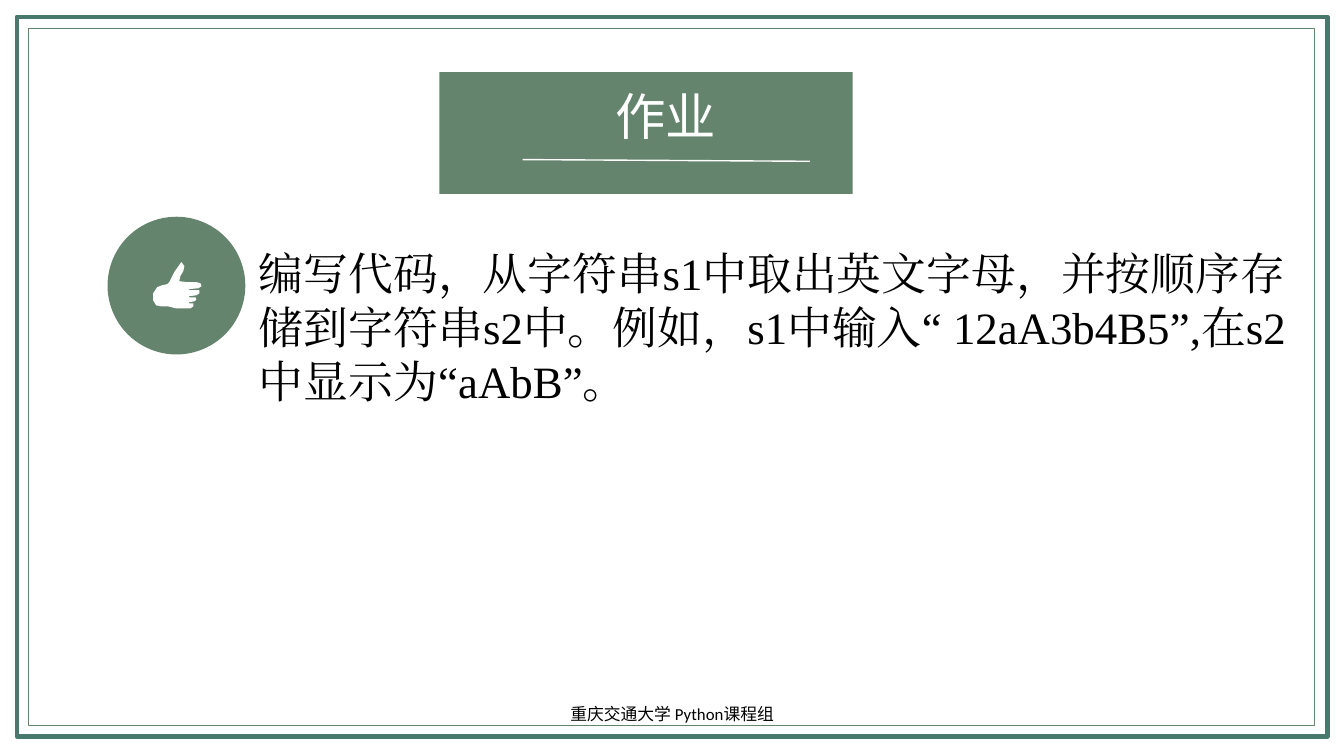
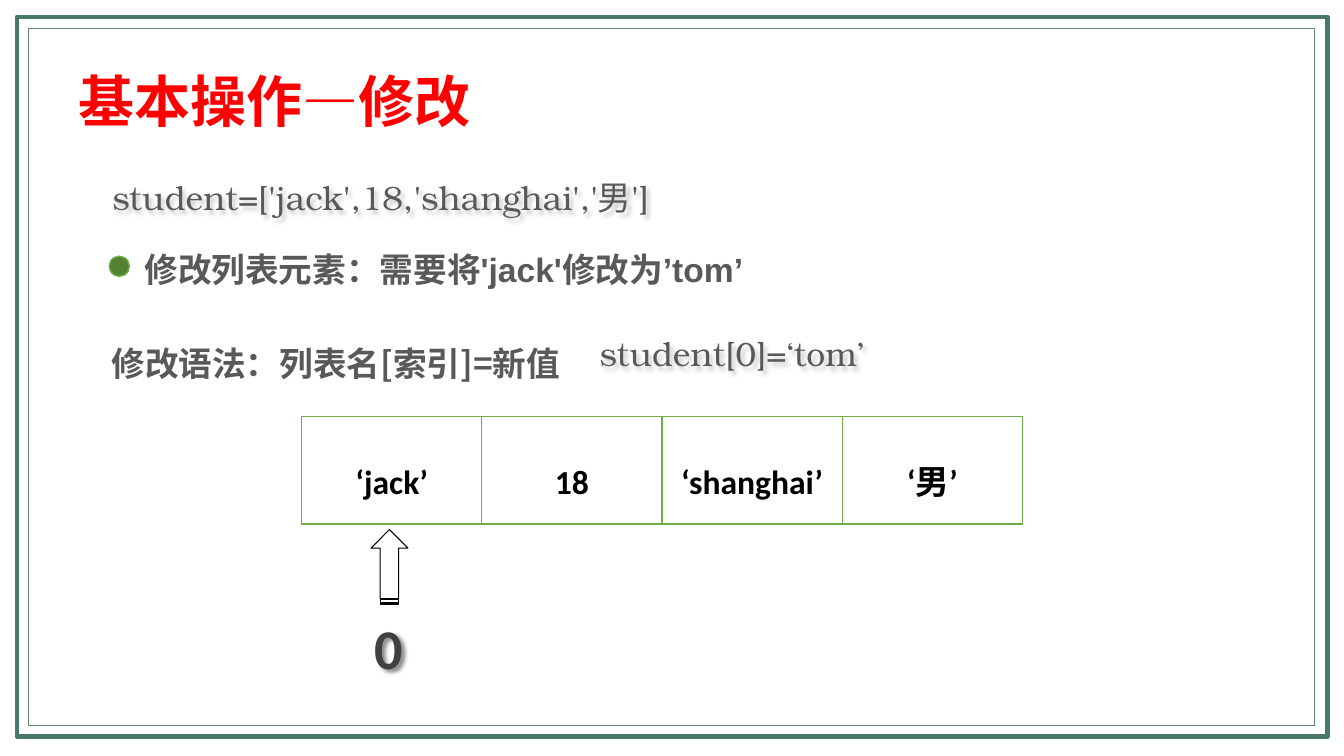
from dataclasses import dataclass

from lxml import etree
from pptx import Presentation
from pptx.dml.color import RGBColor
from pptx.enum.lang import MSO_LANGUAGE_ID
from pptx.enum.shapes import MSO_CONNECTOR, MSO_SHAPE
from pptx.enum.text import MSO_ANCHOR, MSO_AUTO_SIZE, PP_ALIGN
from pptx.oxml.ns import qn
from pptx.util import Inches, Pt

RECTANGLE, OVAL = MSO_SHAPE.RECTANGLE, MSO_SHAPE.OVAL
STRIPED_ARROW = MSO_SHAPE.STRIPED_RIGHT_ARROW
STRAIGHT = MSO_CONNECTOR.STRAIGHT
LEFT, CENTER = PP_ALIGN.LEFT, PP_ALIGN.CENTER
TOP, MIDDLE = MSO_ANCHOR.TOP, MSO_ANCHOR.MIDDLE
CHINESE = MSO_LANGUAGE_ID.SIMPLIFIED_CHINESE
NO_AUTOFIT = MSO_AUTO_SIZE.NONE
TITLE_AND_CONTENT = 1

# The grid has 160 columns and 90 rows of square cells.
CELL = Inches(1) / 12

# Outline of the raised thumb, in hundredths of an inch.
THUMB = [
    (37, 35), (36, 34), (44, 33), (47, 31), (47, 28), (37, 28), (36, 27),
    (46, 26), (49, 24), (48, 21), (44, 20), (35, 20), (27, 19), (28, 14),
    (31, 9), (32, 4), (29, 0), (22, 10), (17, 20), (15, 22), (10, 23),
    (5, 25), (1, 31), (1, 38), (4, 43), (9, 44), (16, 44), (24, 46),
    (38, 46), (41, 44), (41, 41), (37, 41), (36, 40), (42, 39), (44, 37),
    (43, 35),
]


@dataclass(frozen=True)
class Theme:
    frame: str = "49786D"
    sage: str = "64846E"
    white: str = "FFFFFF"
    black: str = "000000"
    red: str = "FF0000"
    grey: str = "595959"
    dark_grey: str = "404040"
    green: str = "70AD47"
    deep_green: str = "548235"
    chinese: str = "Noto Sans CJK SC"
    serif: str = "Times New Roman"
    sans: str = "Arial"
    label: str = "Calibri"
    code: str = "TeX Gyre Bonum"
    heading: int = 40
    banner: int = 36
    statement: int = 32
    text: int = 24
    footer: int = 12


THEME = Theme()


def rgb(value):
    return RGBColor.from_string(value)


def grid(*cells):
    return [round(cell * CELL) for cell in cells]


def write(text_frame, text, *, font=THEME.chinese, size=THEME.text,
          color=THEME.black, bold=False, align=LEFT, anchor=TOP,
          spacing=1.0, wrap=True):
    """Write one paragraph; text is a string or a list of (text, font)."""
    text_frame.word_wrap = wrap
    text_frame.auto_size = NO_AUTOFIT
    text_frame.vertical_anchor = anchor
    paragraph = text_frame.paragraphs[0]
    paragraph.alignment = align
    paragraph.line_spacing = spacing
    paragraph.space_before = Pt(0)
    for words, typeface in [(text, font)] if isinstance(text, str) else text:
        run = paragraph.add_run()
        run.text = words
        run.font.name = typeface
        run.font.size = Pt(size)
        run.font.bold = bold
        run.font.color.rgb = rgb(color)
        run.font.language_id = CHINESE


class Deck:
    def __init__(self, theme):
        self.theme = theme
        self.presentation = Presentation()
        self.presentation.slide_width = Inches(13.33)
        self.presentation.slide_height = Inches(7.5)
        self.slide = None

    def new_slide(self):
        layout = self.presentation.slide_layouts[TITLE_AND_CONTENT]
        self.slide = self.presentation.slides.add_slide(layout)
        self.shape(RECTANGLE, 2, 2, 156, 85.7, line=self.theme.frame, weight=3)
        self.shape(RECTANGLE, 3.4, 3.4, 153, 82.9, line=self.theme.sage,
                   weight=0.5)

    def paint(self, shape, fill, line, weight):
        shape.shadow.inherit = False
        if fill:
            shape.fill.solid()
            shape.fill.fore_color.rgb = rgb(fill)
        else:
            shape.fill.background()
        if line:
            shape.line.color.rgb = rgb(line)
            shape.line.width = Pt(weight)
        else:
            shape.line.fill.background()

    def shape(self, kind, *box, fill=None, line=None, weight=1.0, rotation=0):
        shape = self.slide.shapes.add_shape(kind, *grid(*box))
        shape.rotation = rotation
        self.paint(shape, fill, line, weight)

    def outline(self, points, col, row, fill):
        builder = self.slide.shapes.build_freeform(
            *points[0], scale=Inches(0.01))
        builder.add_line_segments(points[1:], close=True)
        self.paint(builder.convert_to_shape(*grid(col, row)), fill, None, 0)

    def rule(self, *ends, color):
        connector = self.slide.shapes.add_connector(STRAIGHT, *grid(*ends))
        connector.line.color.rgb = rgb(color)
        connector.line.width = Pt(1)
        etree.SubElement(connector.element.spPr, qn("a:effectLst"))

    def placeholder(self, holder, box, text, **style):
        """Fill a placeholder, drop its bullet and bring it to the front."""
        holder.left, holder.top, holder.width, holder.height = grid(*box)
        write(holder.text_frame, text, **style)
        for properties in holder.element.iter(qn("a:pPr")):
            properties.set("marL", "0")
            properties.set("indent", "0")
            etree.SubElement(properties, qn("a:buNone"))
        holder.element.getparent().append(holder.element)

    def title(self, *box, text, **style):
        self.placeholder(self.slide.shapes.title, box, text, **style)

    def body(self, *box, text, **style):
        self.placeholder(self.slide.placeholders[1], box, text, **style)

    def text(self, *box, text, shadow=0, **style):
        """Add a text box; shadow is the opacity of its shadow in percent."""
        label = self.slide.shapes.add_textbox(*grid(*box))
        write(label.text_frame, text, **style)
        if shadow:
            effects = etree.SubElement(label.element.spPr, qn("a:effectLst"))
            cast = etree.SubElement(effects, qn("a:outerShdw"), blurRad="38100",
                                    dist="38100", dir="2700000")
            color = etree.SubElement(cast, qn("a:srgbClr"),
                                     val=self.theme.black)
            etree.SubElement(color, qn("a:alpha"), val=str(shadow * 1000))

    def table(self, *box, values, **style):
        frame = self.slide.shapes.add_table(1, len(values), *grid(*box))
        table = frame.table
        table.first_row = table.horz_banding = False
        for cell, value in zip(table.iter_cells(), values):
            cell.fill.background()
            write(cell.text_frame, value, **style)
        edges = {"a:lnL": 1, "a:lnR": 1, "a:lnT": 1, "a:lnB": 2}
        for properties in frame.element.iter(qn("a:tcPr")):
            for position, (edge, weight) in enumerate(edges.items()):
                border = etree.Element(qn(edge), w=str(Pt(weight)))
                fill = etree.SubElement(border, qn("a:solidFill"))
                etree.SubElement(fill, qn("a:srgbClr"), val=self.theme.green)
                properties.insert(position, border)

    def save(self):
        """Give Chinese characters the font of their run, then save."""
        for slide in self.presentation.slides:
            for latin in list(slide.element.iter(qn("a:latin"))):
                east_asian = etree.Element(qn("a:ea"))
                east_asian.set("typeface", latin.get("typeface"))
                latin.addnext(east_asian)
        self.presentation.save("out.pptx")


def homework(deck):
    theme = deck.theme
    deck.new_slide()
    deck.shape(OVAL, 12.8, 25.8, 16.4, 16.4, fill=theme.sage)
    deck.outline(THUMB, 18.1, 31.2, fill=theme.white)
    deck.shape(RECTANGLE, 52.3, 8.6, 49.2, 14.5, fill=theme.sage)
    deck.title(59.8, 9.5, 38.9, 8.5, text="作业", size=theme.banner,
               color=theme.white, align=CENTER)
    deck.rule(62.2, 19, 96.4, 19.2, color=theme.white)
    deck.body(29.6, 28.7, 125.2, 20.6, font=theme.serif, size=theme.statement,
              text="编写代码，从字符串s1中取出英文字母，并按顺序存储到字符串s2中。"
                   "例如，s1中输入“ 12aA3b4B5”,在s2中显示为“aAbB”。")
    deck.text(53, 82.6, 54, 4.8, text="重庆交通大学 Python课程组",
              font=theme.label, size=theme.footer, align=CENTER, anchor=MIDDLE)


def list_update(deck):
    theme = deck.theme
    code = {"font": theme.code, "color": theme.grey, "shadow": 20}
    deck.new_slide()
    deck.title(8.2, 7.3, 55.4, 9.2, text="基本操作—修改", size=theme.heading,
               color=theme.red, bold=True)
    deck.text(12.2, 20.5, 70.1, 6, wrap=False,
              text="student=['jack',18,'shanghai','男']", **code)
    deck.shape(OVAL, 13, 30.5, 2.4, 2.4, fill=theme.deep_green,
               line=theme.green)
    deck.body(16, 29, 130.7, 6, text="修改列表元素：需要将'jack'修改为’tom’",
              font=theme.sans, color=theme.grey, bold=True)
    deck.text(12.1, 37.8, 84.8, 7.6, color=theme.grey, bold=True, spacing=1.5,
              text=[("修改", theme.chinese), ("语法：", theme.sans),
                    ("列表名[索引]=新值", theme.chinese)])
    deck.text(70.2, 39.1, 63.1, 6, text="student[0]=‘tom’", **code)
    deck.table(35.9, 49.6, 85.8, 12.8,
               values=["‘jack’", "18", "‘shanghai’", "‘男’"],
               font=theme.label, bold=True, align=CENTER, spacing=2.0)
    deck.shape(STRIPED_ARROW, 41.9, 65.3, 8.9, 4.4, line=theme.black,
               weight=0.75, rotation=270)
    deck.text(43.4, 72.4, 7.3, 9.2, text="0", font=theme.label,
              size=theme.heading, color=theme.dark_grey, bold=True, shadow=45)


def main():
    deck = Deck(THEME)
    homework(deck)
    list_update(deck)
    deck.save()


if __name__ == "__main__":
    main()
